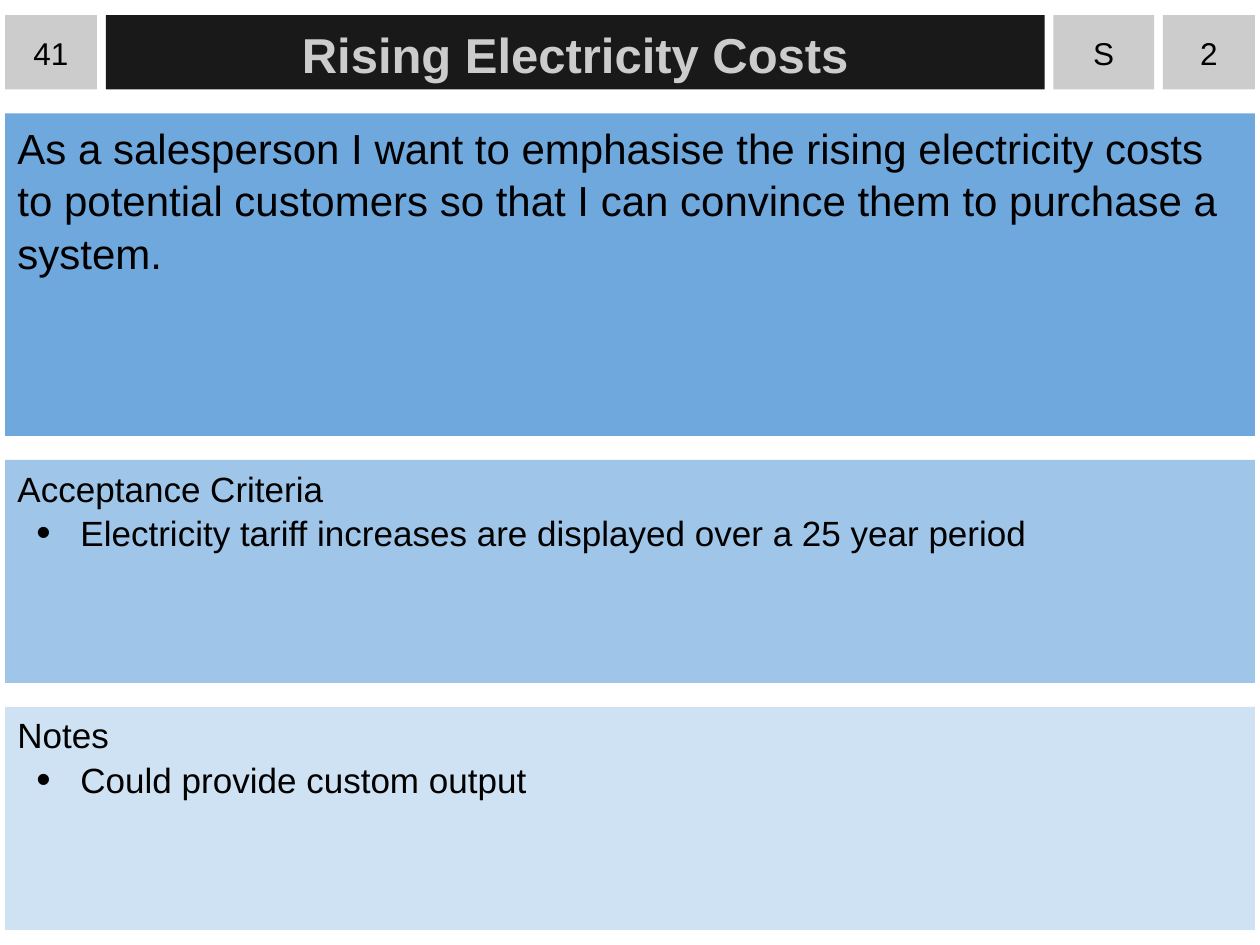
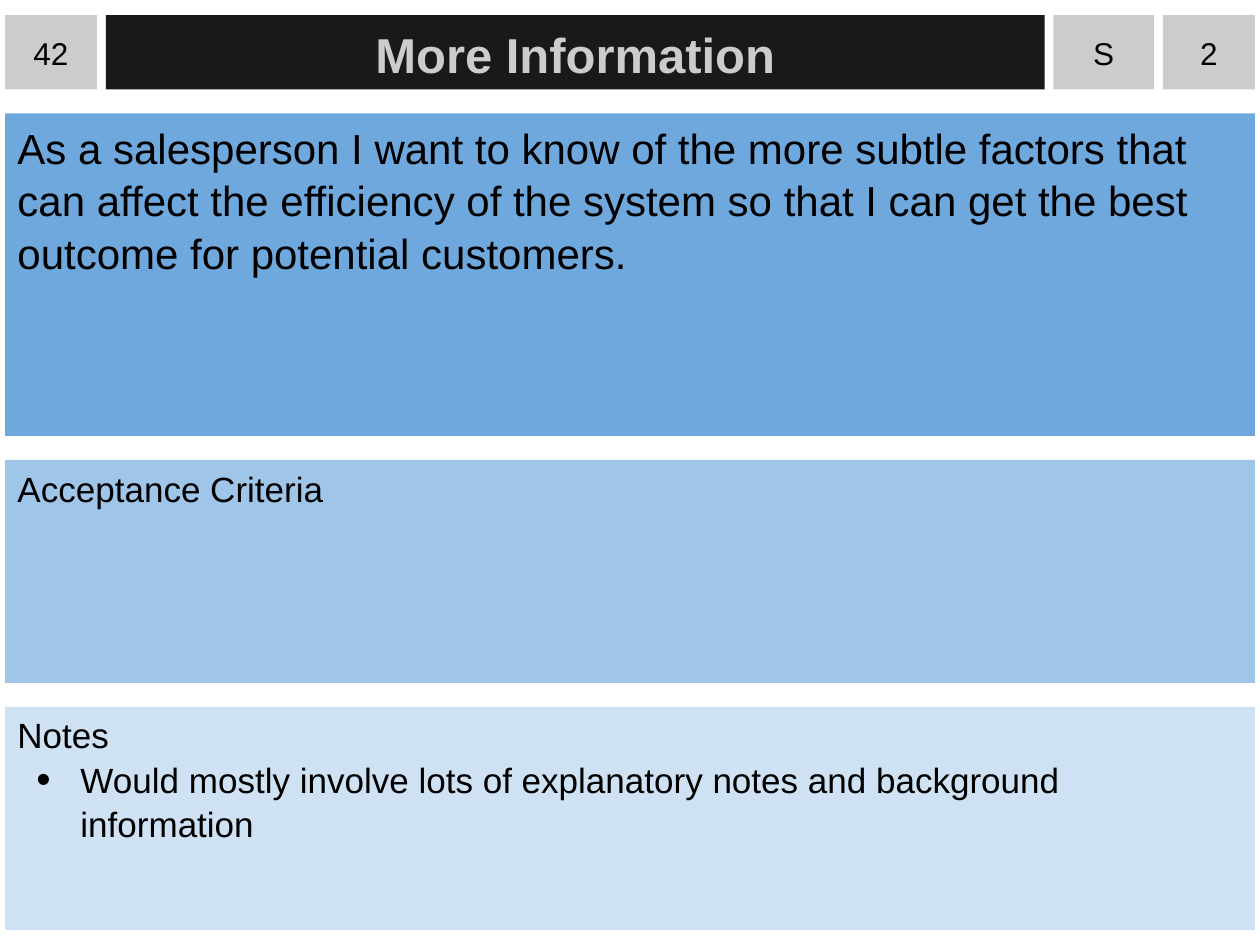
from lxml import etree
from pptx import Presentation
from pptx.dml.color import RGBColor
from pptx.enum import shapes, text
from pptx.oxml import ns
from pptx.util import Inches, Pt

FONT = "Arial"
BLACK = RGBColor(0x00, 0x00, 0x00)
GREY = RGBColor(0xCC, 0xCC, 0xCC)
CHARCOAL = RGBColor(0x19, 0x19, 0x19)
STORY_BLUE = RGBColor(0x6F, 0xA8, 0xDC)
CRITERIA_BLUE = RGBColor(0x9F, 0xC5, 0xE8)
NOTES_BLUE = RGBColor(0xCF, 0xE2, 0xF3)

# Shared card geometry, in inches
LEFT, WIDTH = 0.04, 9.92
HEADER_TOP, HEADER_HEIGHT = 0.12, 0.59
STORY_TOP, STORY_HEIGHT = 0.9, 2.56
DETAIL_HEIGHT, GAP = 1.77, 0.19
CRITERIA_TOP = STORY_TOP + STORY_HEIGHT + GAP
NOTES_TOP = CRITERIA_TOP + DETAIL_HEIGHT + GAP
LINE_SPACING = 1.05

CARDS = [
    {
        "number": "41",
        "title": "Rising Electricity Costs",
        "story": "As a salesperson I want to emphasise the rising electricity costs "
                 "to potential customers so that I can convince them to purchase a system.",
        "criteria": ["Electricity tariff increases are displayed over a 25 year period"],
        "notes": ["Could provide custom output"],
    },
    {
        "number": "42",
        "title": "More Information",
        "story": "As a salesperson I want to know of the more subtle factors that can affect "
                 "the efficiency of the system so that I can get the best outcome for "
                 "potential customers.",
        "criteria": [],
        "notes": ["Would mostly involve lots of explanatory notes and background information"],
    },
]


def set_frame(box, anchor, side=0.1, top=0.05):
    frame = box.text_frame
    frame.word_wrap = True
    frame.auto_size = text.MSO_AUTO_SIZE.NONE
    frame.vertical_anchor = anchor
    frame.margin_left = frame.margin_right = Inches(side)
    frame.margin_top, frame.margin_bottom = Inches(top), Inches(0.05)
    return frame


def fill_box(box, color):
    box.fill.solid()
    box.fill.fore_color.rgb = color
    box.line.fill.background()


def add_box(page, left, top, width, height, color):
    box = page.shapes.add_shape(shapes.MSO_SHAPE.RECTANGLE, Inches(left), Inches(top),
                                Inches(width), Inches(height))
    box.shadow.inherit = False
    fill_box(box, color)
    return box


def write(para, words, size, color=BLACK, bold=False, align=text.PP_ALIGN.LEFT):
    para.alignment = align
    para.line_spacing = LINE_SPACING
    span = para.add_run()
    span.text = words
    span.font.name = FONT
    span.font.size = Pt(size)
    span.font.bold = bold
    span.font.color.rgb = color


def add_bullet(para):
    props = para._p.get_or_add_pPr()
    props.set("marL", str(Inches(0.5)))
    props.set("indent", str(Inches(-0.35)))
    color = etree.SubElement(props, ns.qn("a:buClr"))
    etree.SubElement(color, ns.qn("a:srgbClr"), val=str(BLACK))
    etree.SubElement(props, ns.qn("a:buSzPct"), val="117000")
    etree.SubElement(props, ns.qn("a:buFont"), typeface=FONT)
    etree.SubElement(props, ns.qn("a:buChar"), char="•")


def add_title(page, words):
    title = page.shapes.title
    title.left, title.top = Inches(0.84), Inches(HEADER_TOP)
    title.width, title.height = Inches(7.45), Inches(HEADER_HEIGHT)
    fill_box(title, CHARCOAL)
    frame = set_frame(title, text.MSO_ANCHOR.MIDDLE)
    write(frame.paragraphs[0], words, 28, GREY, True, text.PP_ALIGN.CENTER)


def add_tag(page, left, width, words):
    box = add_box(page, left, HEADER_TOP, width, HEADER_HEIGHT, GREY)
    frame = set_frame(box, text.MSO_ANCHOR.MIDDLE, side=0)
    write(frame.paragraphs[0], words, 18, align=text.PP_ALIGN.CENTER)


def add_story(page, words):
    box = add_box(page, LEFT, STORY_TOP, WIDTH, STORY_HEIGHT, STORY_BLUE)
    frame = set_frame(box, text.MSO_ANCHOR.TOP)
    write(frame.paragraphs[0], words, 24)


def add_detail(page, top, color, heading, items):
    box = add_box(page, LEFT, top, WIDTH, DETAIL_HEIGHT, color)
    frame = set_frame(box, text.MSO_ANCHOR.TOP, top=0.04)
    write(frame.paragraphs[0], heading, 20)
    for item in items:
        para = frame.add_paragraph()
        write(para, item, 20)
        add_bullet(para)


def add_card(deck, card):
    page = deck.slides.add_slide(deck.slide_layouts[5])
    # Header row
    add_title(page, card["title"])
    add_tag(page, LEFT, 0.73, card["number"])
    add_tag(page, 8.36, 0.8, "S")
    add_tag(page, 9.23, 0.73, "2")
    # Story and details
    add_story(page, card["story"])
    add_detail(page, CRITERIA_TOP, CRITERIA_BLUE, "Acceptance Criteria", card["criteria"])
    add_detail(page, NOTES_TOP, NOTES_BLUE, "Notes", card["notes"])


def main():
    deck = Presentation()
    deck.slide_width, deck.slide_height = Inches(10), Inches(7.5)
    for card in CARDS:
        add_card(deck, card)
    deck.save("out.pptx")


if __name__ == "__main__":
    main()
